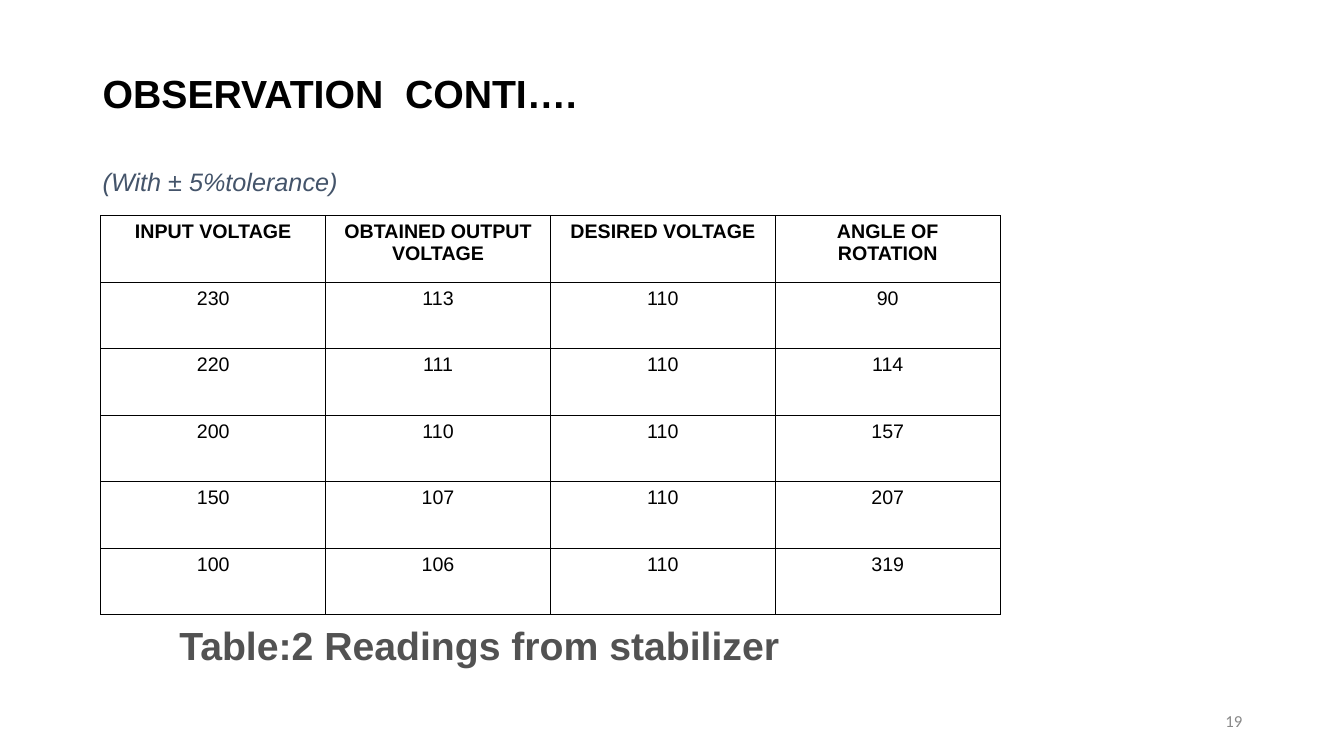
"""Build the slide with the stabilizer voltage readings."""
import lxml.etree
import pptx
import pptx.dml.color
import pptx.enum.text
import pptx.oxml.ns
import pptx.util

Inches = pptx.util.Inches
ALIGN = pptx.enum.text.PP_ALIGN
ANCHOR = pptx.enum.text.MSO_ANCHOR

COLORS = {
    "black": "000000",
    "white": "FFFFFF",
    "caption": "525252",
    "subtitle": "44546A",
    "number": "888888",
}

READINGS = [
    ["INPUT VOLTAGE", "OBTAINED OUTPUT VOLTAGE", "DESIRED VOLTAGE", "ANGLE OF ROTATION"],
    ["230", "113", "110", "90"],
    ["220", "111", "110", "114"],
    ["200", "110", "110", "157"],
    ["150", "107", "110", "207"],
    ["100", "106", "110", "319"],
]


def write_text(text_frame, text, size=14, color="black", font="Arial", bold=False,
               italic=False, align=ALIGN.LEFT, spacing=1.0):
    paragraph = text_frame.paragraphs[0]
    paragraph.alignment = align
    paragraph.line_spacing = spacing
    run = paragraph.add_run()
    run.text = text
    run.font.name = font
    run.font.size = pptx.util.Pt(size)
    run.font.bold = bold
    run.font.italic = italic
    run.font.color.rgb = pptx.dml.color.RGBColor.from_string(COLORS[color])


class SlideBuilder:
    def __init__(self, slide, border_color="black", border_width=1):
        self.slide = slide
        self.border_color = COLORS[border_color]
        self.border_width = pptx.util.Pt(border_width)

    def add_text(self, text, left, top, width, height, anchor=ANCHOR.TOP, **text_format):
        shape = self.slide.shapes.add_textbox(
            Inches(left), Inches(top), Inches(width), Inches(height))
        shape.text_frame.word_wrap = True
        shape.text_frame.vertical_anchor = anchor
        write_text(shape.text_frame, text, **text_format)

    def add_border(self, cell):
        properties = cell._tc.get_or_add_tcPr()
        qualify = pptx.oxml.ns.qn
        for side in ("a:lnL", "a:lnR", "a:lnT", "a:lnB"):
            line = lxml.etree.SubElement(properties, qualify(side), w=str(self.border_width))
            fill = lxml.etree.SubElement(line, qualify("a:solidFill"))
            lxml.etree.SubElement(fill, qualify("a:srgbClr"), val=self.border_color)

    def add_table(self, rows, left, top, column_width, row_height):
        row_count, column_count = len(rows), len(rows[0])
        table = self.slide.shapes.add_table(
            row_count, column_count, Inches(left), Inches(top),
            Inches(column_width * column_count), Inches(row_height * row_count)).table
        table.first_row = False
        table.horz_banding = False
        for column in table.columns:
            column.width = Inches(column_width)
        for row_index, values in enumerate(rows):
            table.rows[row_index].height = Inches(row_height)
            for column_index, value in enumerate(values):
                cell = table.cell(row_index, column_index)
                self.add_border(cell)
                cell.fill.solid()
                cell.fill.fore_color.rgb = pptx.dml.color.RGBColor.from_string(COLORS["white"])
                write_text(cell.text_frame, value, bold=row_index == 0, align=ALIGN.CENTER)


def main():
    presentation = pptx.Presentation()
    presentation.slide_width = Inches(13.33)
    presentation.slide_height = Inches(7.5)
    builder = SlideBuilder(presentation.slides.add_slide(presentation.slide_layouts[6]))

    builder.add_text("Table:2 Readings from stabilizer", 1.68, 5.7, 11.5, 1.45,
                     anchor=ANCHOR.MIDDLE, size=28, color="caption", bold=True, spacing=0.9)
    builder.add_text("19", 9.42, 6.95, 3, 0.4, anchor=ANCHOR.MIDDLE, size=12,
                     color="number", font="Calibri", align=ALIGN.RIGHT)
    builder.add_table(READINGS, 1, 2.14, column_width=2.23, row_height=0.66)
    builder.add_text("(With ± 5%tolerance)", 0.92, 1.6, 2.88, 0.4,
                     size=18, color="subtitle", italic=True)
    builder.add_text("OBSERVATION  CONTI….", 0.92, 0.64, 5.38, 0.57, size=28, bold=True)

    presentation.save("out.pptx")


if __name__ == "__main__":
    main()
